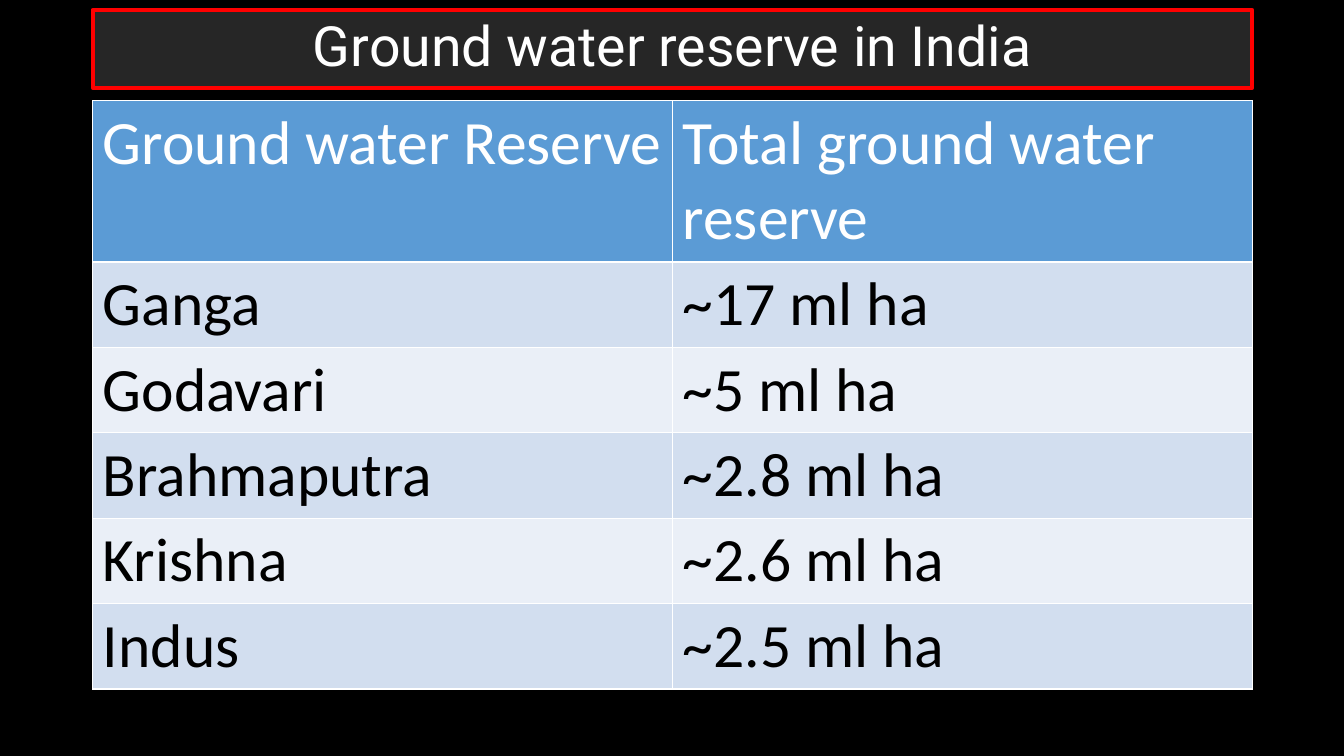
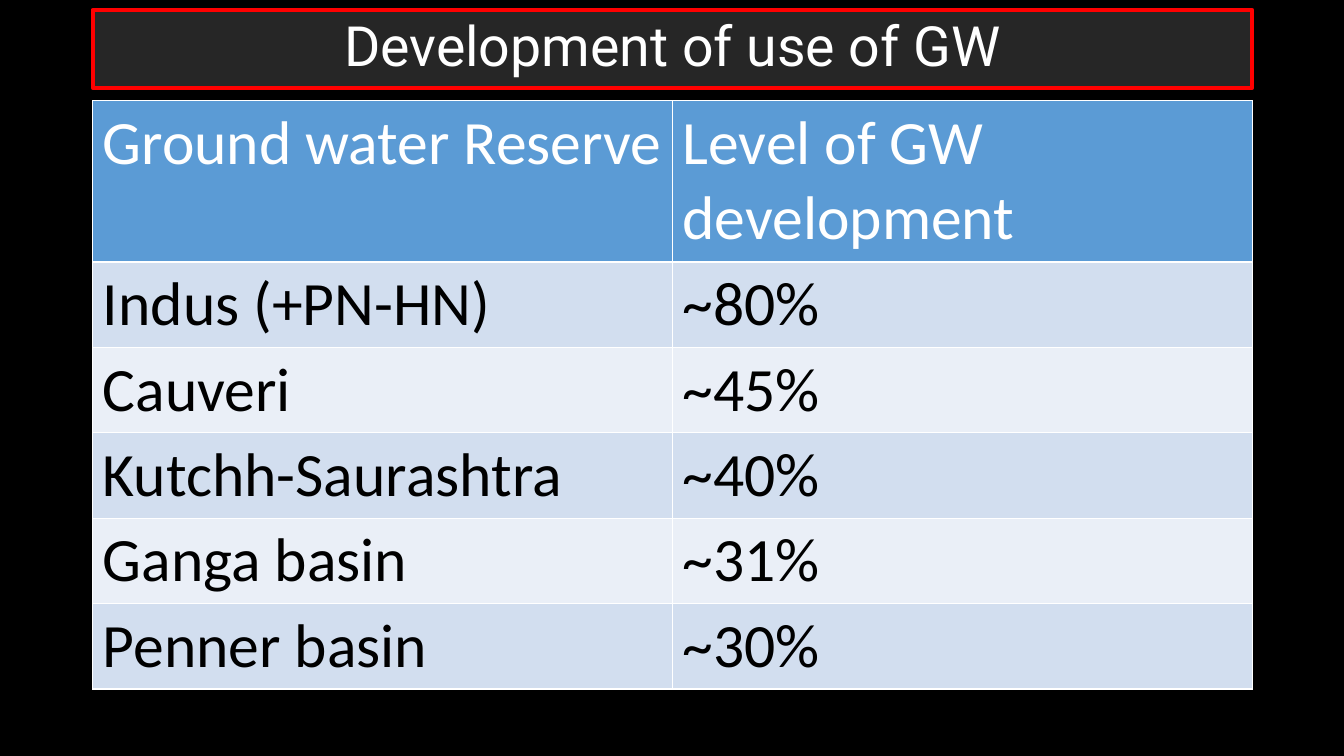
from lxml.etree import SubElement
from pptx import Presentation
from pptx.dml.color import RGBColor
from pptx.enum.shapes import MSO_SHAPE
from pptx.enum.text import MSO_ANCHOR, PP_ALIGN
from pptx.oxml.ns import qn
from pptx.util import Inches, Pt

BLACK, WHITE, RED = "000000", "FFFFFF", "FF0000"
DARK, BLUE = "262626", "5B9BD5"
BANDS = ("D2DEEF", "EAEFF7")

TITLE_BOX = (0.92, 0.1, 11.5, 0.77)
TABLE_BOX = (0.92, 1, 11.5, 5.83)
HEAD_HEIGHT = 1.6

SLIDES = [
    ("Ground water reserve in India", [
        ("Ground water Reserve", "Total ground water reserve"),
        ("Ganga", "~17 ml ha"),
        ("Godavari", "~5 ml ha"),
        ("Brahmaputra", "~2.8 ml ha"),
        ("Krishna", "~2.6 ml ha"),
        ("Indus", "~2.5 ml ha"),
    ]),
    ("Development of use of GW", [
        ("Ground water Reserve", "Level of GW development"),
        ("Indus (+PN-HN)", "~80%"),
        ("Cauveri", "~45%"),
        ("Kutchh-Saurashtra", "~40%"),
        ("Ganga basin", "~31%"),
        ("Penner basin", "~30%"),
    ]),
]


def paint(fill, color):
    fill.solid()
    fill.fore_color.rgb = RGBColor.from_string(color)


def write(frame, text, font="Calibri", size=44, color=BLACK,
          align=PP_ALIGN.LEFT, spacing=None):
    frame.word_wrap = True
    para = frame.paragraphs[0]
    para.alignment = align
    para.line_spacing = spacing
    run = para.add_run()
    run.text = text
    run.font.name = font
    run.font.size = Pt(size)
    run.font.bold = False
    paint(run.font.fill, color)


def edge(cell, color, width):
    """Draw all four borders of a cell; call before filling it."""
    props = cell._tc.get_or_add_tcPr()
    for side in ("a:lnL", "a:lnR", "a:lnT", "a:lnB"):
        line = SubElement(props, qn(side), w=str(Pt(width)))
        solid = SubElement(line, qn("a:solidFill"))
        SubElement(solid, qn("a:srgbClr"), val=color)


def add_title(slide, box, text):
    bar = slide.shapes.add_shape(MSO_SHAPE.ROUNDED_RECTANGLE, *map(Inches, box))
    bar.adjustments[0] = 0
    bar.shadow.inherit = False
    paint(bar.fill, DARK)
    paint(bar.line.fill, RED)
    bar.line.width = Pt(3)
    bar.text_frame.vertical_anchor = MSO_ANCHOR.MIDDLE
    write(bar.text_frame, text, font="Roboto", size=39.6, color=WHITE,
          align=PP_ALIGN.CENTER, spacing=0.9)


def add_grid(slide, box, rows):
    height = box[3]
    frame = slide.shapes.add_table(len(rows), len(rows[0]), *map(Inches, box))
    table = frame.table
    body = (height - HEAD_HEIGHT) / (len(rows) - 1)
    for i, row in enumerate(rows):
        head = i == 0
        table.rows[i].height = Inches(HEAD_HEIGHT if head else body)
        for j, text in enumerate(row):
            cell = table.cell(i, j)
            edge(cell, WHITE, 1)
            paint(cell.fill, BLUE if head else BANDS[(i - 1) % 2])
            write(cell.text_frame, text, color=WHITE if head else BLACK)


def add_page(deck, title, rows):
    slide = deck.slides.add_slide(deck.slide_layouts[6])
    add_grid(slide, TABLE_BOX, rows)
    add_title(slide, TITLE_BOX, title)


def main():
    deck = Presentation()
    deck.slide_width, deck.slide_height = Inches(13.33), Inches(7.5)
    paint(deck.slide_master.background.fill, BLACK)
    for title, rows in SLIDES:
        add_page(deck, title, rows)
    deck.save("out.pptx")


if __name__ == "__main__":
    main()
